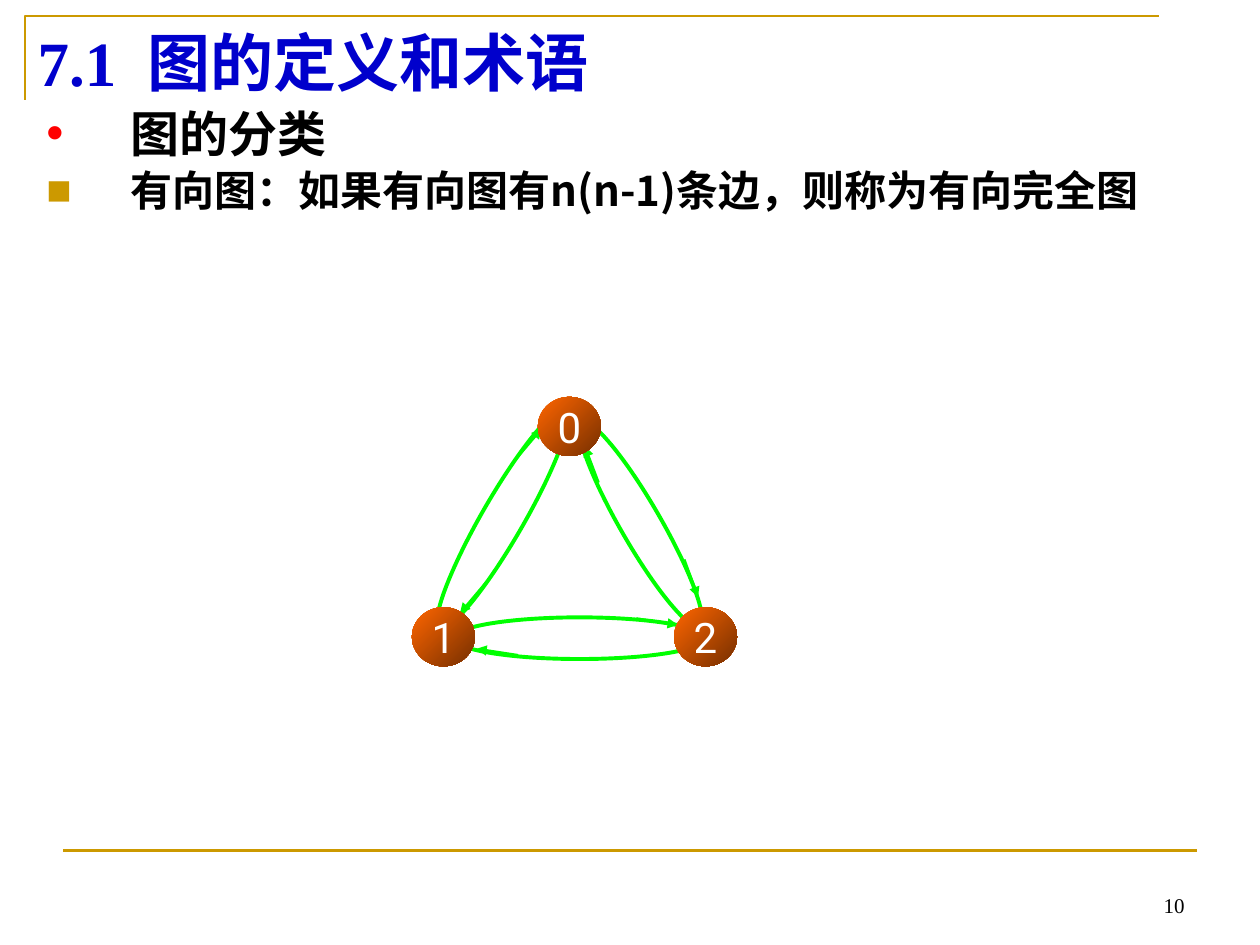
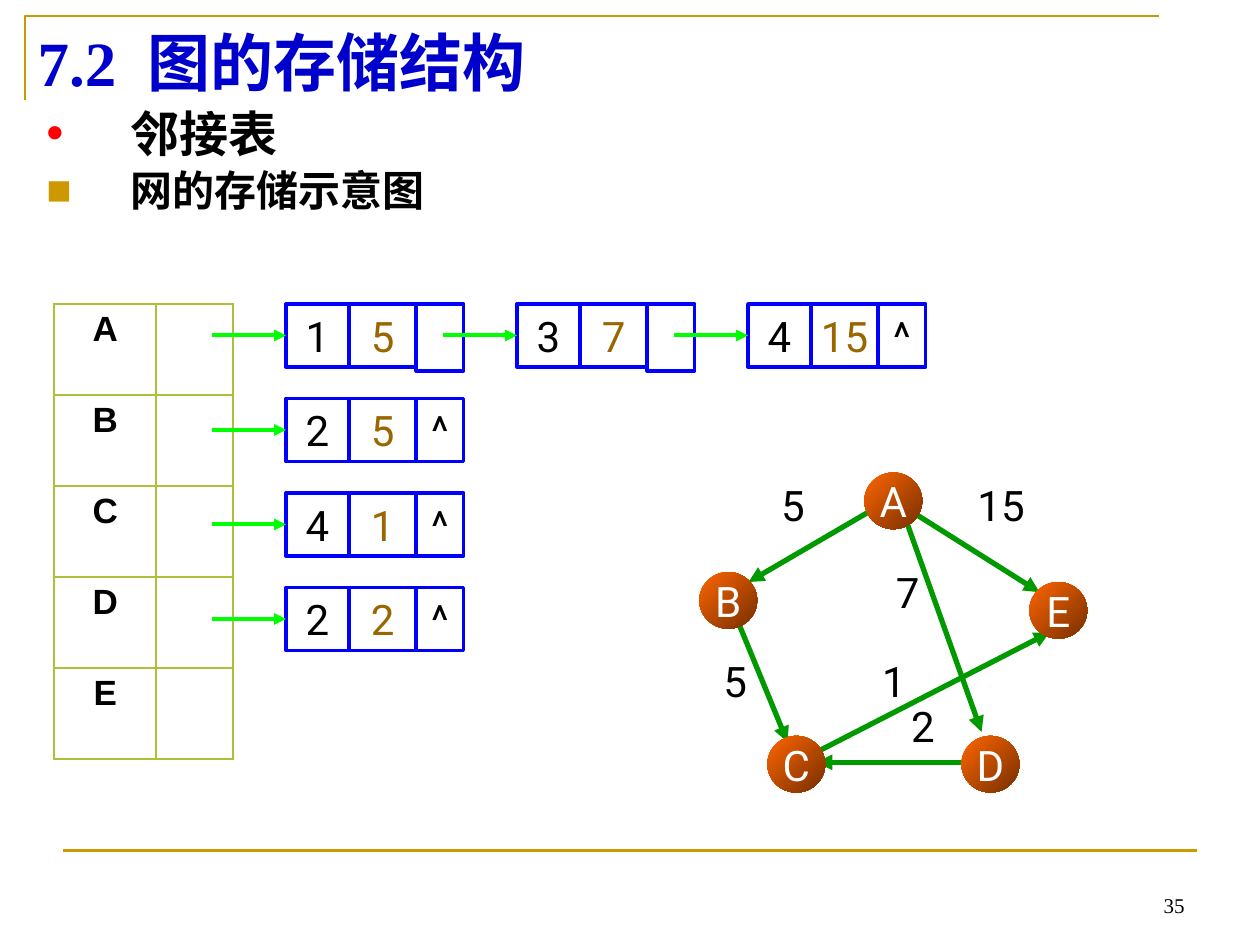
from lxml.etree import SubElement
from pptx import Presentation
from pptx.dml.color import RGBColor
from pptx.enum.shapes import MSO_CONNECTOR, MSO_SHAPE
from pptx.enum.text import MSO_ANCHOR, PP_ALIGN
from pptx.oxml.ns import qn
from pptx.util import Pt

GOLD, GREEN, LEAF, BLUE = "CC9900", "00FF00", "009900", "0000FF"
BLACK, WHITE, BROWN = "000000", "FFFFFF", "996600"
HAN, SERIF, SANS, ROUND = "Noto Sans CJK SC", "Times New Roman", "Arial", "Roboto"


def paint(target, hue):
    """Give a colour format or a solid fill its hex colour."""
    if hasattr(target, "solid"):
        target.solid()
        target = target.fore_color
    target.rgb = RGBColor.from_string(hue)


def add_run(para, text, size, font, hue=BLACK, bold=False, gap=0):
    """Add one styled run, with optional extra letter spacing in points."""
    run = para.add_run()
    run.text = text
    run.font.size, run.font.name, run.font.bold = Pt(size), font, bold
    paint(run.font.fill, hue)
    props = run.font._element
    SubElement(props, qn("a:ea")).set("typeface", HAN)
    if gap:
        props.set("spc", str(gap * 100))


def set_frame(shape, anchor=MSO_ANCHOR.TOP, side=7.2, wrap=True):
    """Set margins, anchor and wrap, and return the text frame."""
    frame = shape.text_frame
    frame.margin_left = frame.margin_right = Pt(side)
    frame.margin_top = frame.margin_bottom = Pt(3.6)
    frame.vertical_anchor, frame.word_wrap = anchor, wrap
    return frame


def add_box(slide, left, top, width, height, anchor=MSO_ANCHOR.TOP):
    """Add a text box and return its frame."""
    box = slide.shapes.add_textbox(Pt(left), Pt(top), Pt(width), Pt(height))
    return set_frame(box, anchor)


def add_form(slide, kind, left, top, width, height):
    """Add a preset shape with no shadow, fill or line."""
    shape = slide.shapes.add_shape(kind, Pt(left), Pt(top), Pt(width), Pt(height))
    shape.shadow.inherit = False
    shape.fill.background()
    shape.line.fill.background()
    return shape


def set_line(shape, hue, weight):
    """Set the outline colour and weight of a shape."""
    paint(shape.line.fill, hue)
    shape.line.width = Pt(weight)


def add_line(slide, ends, hue, weight, arrow=True):
    """Add a straight line, with an arrowhead at its end if wanted."""
    line = slide.shapes.add_connector(MSO_CONNECTOR.STRAIGHT, *map(Pt, ends))
    set_line(line, hue, weight)
    props = line._element.spPr
    if arrow:
        SubElement(props.find(qn("a:ln")), qn("a:tailEnd")).set("type", "triangle")
    SubElement(props, qn("a:effectLst"))


def add_bullet(para, sign, hue):
    """Give a paragraph a hanging coloured bullet."""
    props = para._p.get_or_add_pPr()
    props.set("marL", str(Pt(48)))
    props.set("indent", str(-Pt(48)))
    tint = SubElement(props, qn("a:buClr"))
    SubElement(tint, qn("a:srgbClr")).set("val", hue)
    SubElement(props, qn("a:buFont")).set("typeface", SANS)
    SubElement(props, qn("a:buChar")).set("char", sign)


def add_page(deck, mark, title, topic, detail, number):
    """Add a slide with its rules, title, bullets and page number."""
    slide = deck.slides.add_slide(deck.slide_layouts[6])
    pen = slide.shapes.build_freeform(Pt(14.4), Pt(56.9), scale=1)
    pen.add_line_segments([(Pt(14.4), Pt(9.2)), (Pt(662.4), Pt(9.2))], close=False)
    corner = pen.convert_to_shape()
    corner.shadow.inherit = False
    corner.fill.background()
    set_line(corner, GOLD, 1.5)
    add_line(slide, (36, 486, 684, 486), GOLD, 1.5, arrow=False)

    foot = add_box(slide, 516.2, 491.8, 167.8, 36, MSO_ANCHOR.BOTTOM).paragraphs[0]
    foot.alignment = PP_ALIGN.RIGHT
    add_run(foot, number, 12, SERIF)

    body = add_box(slide, 19.4, 60.5, 680.4, 90)
    first, second = body.paragraphs[0], body.add_paragraph()
    second.space_before = Pt(6)
    rows = ((first, "•", "FF0000", topic, 28), (second, "■", GOLD, detail, 24))
    for para, sign, hue, text, size in rows:
        para.line_spacing = 0.85
        add_bullet(para, sign, hue)
        add_run(para, text, size, HAN, bold=True)

    head = add_box(slide, 14.4, 9.4, 648, 51.1, MSO_ANCHOR.MIDDLE).paragraphs[0]
    for text, gap in ((mark, 0), (" ", 9), (title, 0)):
        add_run(head, text, 36, SERIF, "0000CC", True, gap)
    return slide


def add_node(slide, name, left, top, width, height):
    """Add a shaded graph node with its name."""
    node = add_form(slide, MSO_SHAPE.OVAL, left, top, width, height)
    node.fill.gradient()
    node.fill.gradient_angle = 315
    for stop, place, hue in zip(node.fill.gradient_stops, (0, 1), ("FF6600", "762F00")):
        stop.position = place
        paint(stop.color, hue)
    para = set_frame(node, MSO_ANCHOR.MIDDLE, 0, False).paragraphs[0]
    para.alignment = PP_ALIGN.CENTER
    add_run(para, name, 24, ROUND, WHITE)


def add_loop(slide, left, top, width, height, turn, arrows):
    """Add a thin tilted ellipse with its two arrow tips."""
    loop = add_form(slide, MSO_SHAPE.OVAL, left, top, width, height)
    loop.rotation = turn
    set_line(loop, GREEN, 2.25)
    for ends in arrows:
        add_line(slide, ends, GREEN, 1.5)


def add_link(slide, left, top, index, weight, last):
    """Add one list link with its three cells and the arrow into it."""
    cells = (
        (0, 36, index, BLACK),
        (36, 38.4, weight, BROWN),
        (74.4, 27.2, "^" if last else "", BLACK),
    )
    for shift, width, text, hue in cells:
        height = 36 if text else 38.2
        cell = add_form(slide, MSO_SHAPE.RECTANGLE, left + shift, top, width, height)
        set_line(cell, BLUE, 2)
        if text:
            para = set_frame(cell, side=0).paragraphs[0]
            para.alignment = PP_ALIGN.CENTER
            add_run(para, text, 24, ROUND, hue)
    add_line(slide, (left - 42.2, top + 18, left, top + 18), GREEN, 2.25)


def add_edge(cell, hue, weight):
    """Draw the four borders of a table cell."""
    props = cell._tc.get_or_add_tcPr()
    for spot, side in enumerate(("lnL", "lnR", "lnT", "lnB")):
        line = SubElement(props, qn("a:" + side))
        line.set("w", str(Pt(weight)))
        fill = SubElement(line, qn("a:solidFill"))
        SubElement(fill, qn("a:srgbClr")).set("val", hue)
        props.insert(spot, line)


def add_heads(slide, names):
    """Add the table of list heads."""
    size = map(Pt, (31, 173.7, 102.2, 52 * len(names)))
    frame = slide.shapes.add_table(len(names), 2, *size)
    table = frame.table
    table.first_row = table.horz_banding = False
    for column, width in zip(table.columns, (58.3, 43.9)):
        column.width = Pt(width)
    for row, name in zip(table.rows, names):
        row.height = Pt(52)
        for cell in row.cells:
            cell.fill.background()
            add_edge(cell, "AFBF39", 1.08)
        para = row.cells[0].text_frame.paragraphs[0]
        para.alignment = PP_ALIGN.CENTER
        add_run(para, name, 20, SANS, bold=True)


def draw_full(slide):
    """Draw the complete directed graph."""
    add_loop(slide, 259.2, 352.8, 144, 23.8, 0,
             ((363.6, 353.5, 387.4, 357.1), (295.9, 374.4, 272.2, 370.8)))
    add_loop(slide, 215.3, 284.4, 144, 23.8, 300,
             ((293.8, 263.5, 309.6, 244.8), (278.6, 331.9, 262.8, 350.6)))
    add_loop(slide, 298.8, 288, 134.6, 23, 60,
             ((391, 319.7, 398.9, 341.3), (342, 275.8, 334.1, 254.9)))
    for name, left, top in (("1", 235.4, 347), ("2", 385.2, 347), ("0", 307.4, 226.8)):
        add_node(slide, name, left, top, 36, 33.8)


def draw_lists(slide):
    """Draw the adjacency lists beside their heads."""
    add_heads(slide, "ABCDE")
    lists = (
        (("1", "5"), ("3", "7"), ("4", "15")),
        (("2", "5"),),
        (("4", "1"),),
        (("2", "2"),),
    )
    for row, links in enumerate(lists):
        for spot, (index, weight) in enumerate(links):
            last = spot == len(links) - 1
            add_link(slide, 163.4 + 132 * spot, 173.7 + 54 * row, index, weight, last)


def draw_net(slide):
    """Draw the weighted graph."""
    edges = (
        (522, 293, 594, 338.4),
        (421.9, 355.7, 450, 424.1),
        (505.4, 287.3, 427.7, 332.6),
        (516.2, 293, 560.9, 418.3),
        (549.4, 435.6, 466.6, 435.6),
        (466.6, 429.8, 599.8, 361.4),
    )
    for ends in edges:
        add_line(slide, ends, LEAF, 3)
    nodes = (("B", 399.6, 326.9), ("D", 549.4, 420.5), ("C", 438.5, 420.5),
             ("E", 588.2, 332.6), ("A", 493.9, 270))
    for name, left, top in nodes:
        add_node(slide, name, left, top, 33.1, 32.4)
    weights = (("5", 432.7, 270.7, 41), ("5", 399.6, 370.8, 41),
               ("15", 539.3, 270.7, 65.5), ("1", 490.3, 370.8, 41),
               ("7", 498.2, 320.4, 41), ("2", 506.9, 396.7, 41))
    for text, left, top, width in weights:
        para = add_box(slide, left, top, width, 36).paragraphs[0]
        para.alignment = PP_ALIGN.CENTER
        add_run(para, text, 24, ROUND)


def main():
    """Build and save the deck."""
    deck = Presentation()
    deck.slide_width, deck.slide_height = Pt(720), Pt(540)
    draw_full(add_page(deck, "7.1", "图的定义和术语", "图的分类",
                       "有向图：如果有向图有n(n-1)条边，则称为有向完全图", "10"))
    store = add_page(deck, "7.2", "图的存储结构", "邻接表", "网的存储示意图", "35")
    draw_lists(store)
    draw_net(store)
    deck.save("out.pptx")


if __name__ == "__main__":
    main()
